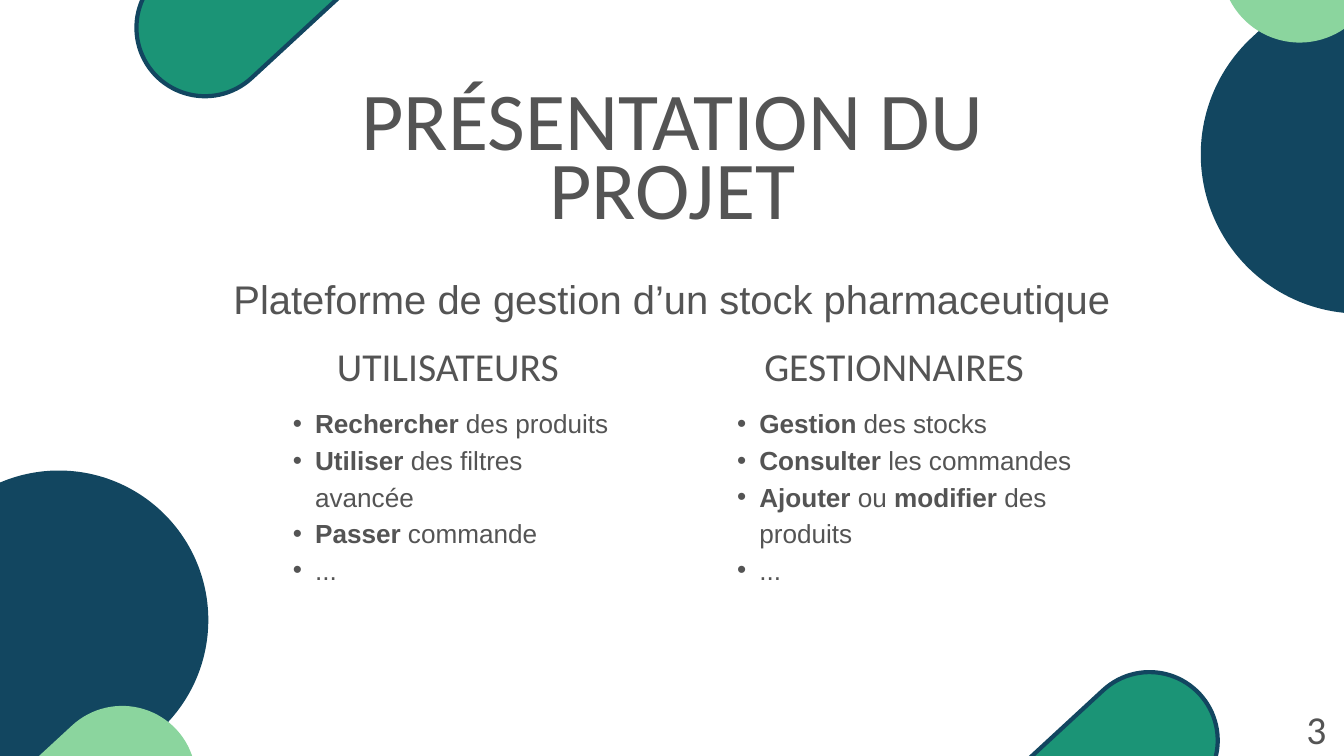
from lxml.etree import SubElement
from pptx import Presentation
from pptx.dml.color import RGBColor
from pptx.enum.shapes import MSO_SHAPE
from pptx.enum.text import MSO_AUTO_SIZE, PP_ALIGN
from pptx.oxml.ns import qn
from pptx.util import Inches, Pt

NAVY = RGBColor(0x12, 0x46, 0x60)
GREEN = RGBColor(0x1B, 0x94, 0x76)
MINT = RGBColor(0x8B, 0xD5, 0x9E)
GREY = RGBColor(0x54, 0x54, 0x54)


class SlideBuilder:
    heading_font = "Calibri"
    body_font = "Arial"
    capsule_angle = 317.3
    bullet_indent = 0.33

    def __init__(self, slide):
        self.slide = slide

    def capsule(self, left, top, height, fill, outline=None):
        """Tilted pill, twice as long as it is high."""
        pill = self.slide.shapes.add_shape(
            MSO_SHAPE.ROUNDED_RECTANGLE,
            Inches(left), Inches(top), Inches(2 * height), Inches(height))
        pill.adjustments[0] = 0.5
        pill.rotation = self.capsule_angle
        pill.shadow.inherit = False
        pill.fill.solid()
        pill.fill.fore_color.rgb = fill
        if outline is None:
            pill.line.fill.background()
        else:
            pill.line.color.rgb = outline
            pill.line.width = Pt(4.5)

    def frame(self, left, top, width, height):
        box = self.slide.shapes.add_textbox(
            Inches(left), Inches(top), Inches(width), Inches(height))
        frame = box.text_frame
        frame.word_wrap = True
        frame.auto_size = MSO_AUTO_SIZE.SHAPE_TO_FIT_TEXT
        frame.margin_left = frame.margin_right = 0
        frame.margin_top = frame.margin_bottom = 0
        return frame

    def style(self, run, font, size, bold=False):
        run.font.name = font
        run.font.size = Pt(size)
        run.font.bold = bold
        run.font.color.rgb = GREY

    def heading(self, text, left, top, width, height,
                size=42.4, spacing=36, font=heading_font):
        frame = self.frame(left, top, width, height)
        frame.text = text
        paragraph = frame.paragraphs[0]
        paragraph.alignment = PP_ALIGN.CENTER
        paragraph.line_spacing = Pt(spacing)
        self.style(paragraph.runs[0], font, size)

    def bullets(self, items, left, top, width, height):
        """Bulleted list; words between asterisks are bold."""
        frame = self.frame(left, top, width, height)
        for index, item in enumerate(items):
            paragraph = frame.paragraphs[0] if index == 0 else frame.add_paragraph()
            paragraph.level = 1
            paragraph.line_spacing = Pt(39.2)
            properties = paragraph._p.get_or_add_pPr()
            properties.set("marL", str(Inches(2 * self.bullet_indent)))
            properties.set("indent", str(-Inches(self.bullet_indent)))
            SubElement(properties, qn("a:buFont"), typeface=self.body_font)
            SubElement(properties, qn("a:buChar"), char="•")
            for part, words in enumerate(item.split("*")):
                if words:
                    run = paragraph.add_run()
                    run.text = words
                    self.style(run, self.body_font, 28, bold=part % 2 == 1)


def main():
    presentation = Presentation()
    presentation.slide_width = Inches(20)
    presentation.slide_height = Inches(11.25)
    builder = SlideBuilder(
        presentation.slides.add_slide(presentation.slide_layouts[6]))

    # Corner decoration
    builder.capsule(-5.21, 8.51, 4.45, NAVY)
    builder.capsule(-1.19, 11.25, 2.2, MINT)
    builder.capsule(17.24, -1.68, 4.74, NAVY)
    builder.capsule(17.86, -2.5, 2.34, MINT)
    builder.capsule(14.33, 10.69, 2.03, GREEN, NAVY)
    builder.capsule(1.76, -1.3, 2.04, GREEN, NAVY)

    # Title and subtitle
    builder.heading("PRÉSENTATION DU PROJET", 4.24, 1.44, 11.53, 2.18,
                    size=88, spacing=74.8)
    builder.heading("Plateforme de gestion d’un stock pharmaceutique",
                    2.86, 3.96, 14.29, 0.88,
                    size=42.8, spacing=59.9, font=builder.body_font)

    # Users
    builder.heading("UTILISATEURS", 4.45, 5.3, 4.43, 0.56)
    builder.bullets(["*Rechercher* des produits",
                     "*Utiliser *des filtres avancée",
                     "*Passer *commande",
                     "..."], 4.03, 5.99, 5.27, 2.22)

    # Managers
    builder.heading("GESTIONNAIRES", 10.93, 5.3, 4.75, 0.56)
    builder.bullets(["*Gestion *des stocks",
                     "*Consulter *les commandes",
                     "*Ajouter *ou *modifier *des produits",
                     "..."], 10.64, 5.99, 5.33, 2.77)

    # Page number
    builder.heading("3", 19.18, 10.69, 0.82, 0.56)

    presentation.save("out.pptx")


if __name__ == "__main__":
    main()
